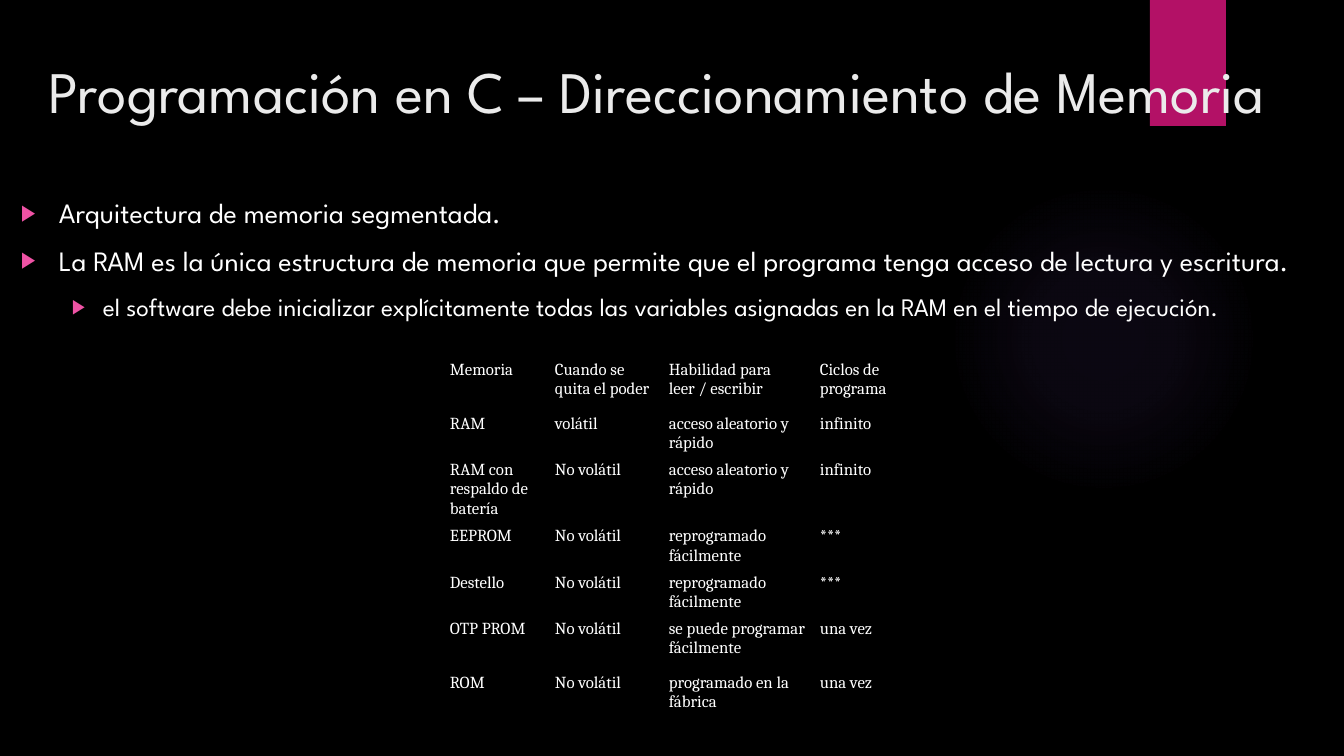
from lxml import etree
from pptx import Presentation
from pptx.dml.color import RGBColor
from pptx.enum.shapes import MSO_SHAPE
from pptx.oxml import parse_xml
from pptx.oxml.ns import nsdecls, qn
from pptx.util import Emu, Pt

EMU_PER_PX = 914400 / 100.8
OVAL, RECTANGLE = MSO_SHAPE.OVAL, MSO_SHAPE.RECTANGLE
BLACK = RGBColor(0x00, 0x00, 0x00)
WHITE = RGBColor(0xFF, 0xFF, 0xFF)
TITLE_GREY = RGBColor(0xEB, 0xEB, 0xEB)
MAGENTA = RGBColor(0xB3, 0x11, 0x66)
BULLET_PINK = RGBColor(0xEF, 0x53, 0xA5)
GLOW_VIOLET = RGBColor(0x9B, 0x6B, 0xF2)
HEADING_FONT, TABLE_FONT = "League Spartan", "Cambria"
NO_STYLE_NO_GRID = "{2D5ABB26-0587-4C30-8999-92F81FD0307C}"


def px(length):
    return Emu(round(length * EMU_PER_PX))


def format_runs(paragraph, font_name, size, color):
    for run in paragraph.runs:
        run.font.name = font_name
        run.font.size = Pt(size)
        run.font.color.rgb = color


presentation = Presentation()
presentation.slide_width, presentation.slide_height = px(1344), px(756)
slide = presentation.slides.add_slide(presentation.slide_layouts[6])
slide.background.fill.solid()
slide.background.fill.fore_color.rgb = BLACK

# Background glow, fading out from its centre
glow = slide.shapes.add_shape(OVAL, px(949), px(184), px(310), px(310))
glow.shadow.inherit = False
glow.line.fill.background()
stops = "".join(
    f'<a:gs pos="{position * 1000}"><a:srgbClr val="{GLOW_VIOLET}">'
    f'<a:alpha val="{alpha * 1000}"/></a:srgbClr></a:gs>'
    for position, alpha in ((0, 7), (36, 6), (69, 0), (100, 0))
)
glow_fill = parse_xml(
    f'<a:gradFill {nsdecls("a")} rotWithShape="1"><a:gsLst>{stops}</a:gsLst>'
    '<a:path path="circle"><a:fillToRect l="50000" t="50000" r="50000" b="50000"/>'
    "</a:path></a:gradFill>"
)
glow._element.spPr.find(qn("a:prstGeom")).addnext(glow_fill)

ribbon = slide.shapes.add_shape(RECTANGLE, px(1150), px(0), px(76), px(126))
ribbon.shadow.inherit = False
ribbon.fill.solid()
ribbon.fill.fore_color.rgb = MAGENTA
ribbon.line.fill.background()

title = slide.shapes.add_textbox(px(39), px(50), px(1264), px(154))
title.text_frame.word_wrap = True
title.text_frame.text = "Programación en C – Direccionamiento de Memoria"
format_runs(title.text_frame.paragraphs[0], HEADING_FONT, 42, TITLE_GREY)

# Bullets: text, level, font size, left margin, hanging indent
bullets = [
    ("Arquitectura de memoria segmentada.", 0, 20, 38, 38),
    ("La RAM es la única estructura de memoria que permite que el programa "
     "tenga acceso de lectura y escritura.", 0, 20, 38, 38),
    ("el software debe inicializar explícitamente todas las variables "
     "asignadas en la RAM en el tiempo de ejecución.", 1, 18, 82, 31),
]
body = slide.shapes.add_textbox(px(11), px(191), px(1292), px(477))
body.text_frame.word_wrap = True
body.text_frame.text = "\n".join(bullet[0] for bullet in bullets)
for paragraph, (_, level, size, margin, hanging) in zip(body.text_frame.paragraphs, bullets):
    paragraph.level = level
    paragraph.space_before = Pt(10)
    format_runs(paragraph, HEADING_FONT, size, WHITE)
    properties = paragraph._p.get_or_add_pPr()
    properties.set("marL", str(px(margin)))
    properties.set("indent", str(-px(hanging)))
    bullet_color = etree.SubElement(properties, qn("a:buClr"))
    etree.SubElement(bullet_color, qn("a:srgbClr"), val=str(BULLET_PINK))
    etree.SubElement(properties, qn("a:buSzPct"), val="80000")
    etree.SubElement(properties, qn("a:buFont"), typeface="Arial")
    etree.SubElement(properties, qn("a:buChar"), char="▶")

memory_rows = [
    ("Memoria", "Cuando se quita el poder", "Habilidad para leer / escribir", "Ciclos de programa"),
    ("RAM", "volátil", "acceso aleatorio y rápido", "infinito"),
    ("RAM con respaldo de batería", "No volátil", "acceso aleatorio y rápido", "infinito"),
    ("EEPROM", "No volátil", "reprogramado fácilmente", "***"),
    ("Destello", "No volátil", "reprogramado fácilmente", "***"),
    ("OTP PROM", "No volátil", "se puede programar fácilmente", "una vez"),
    ("ROM", "No volátil", "programado en la fábrica", "una vez"),
]
column_widths = [105, 114, 151, 87]
row_heights = [54, 38, 54, 38, 38, 54, 38]
table = slide.shapes.add_table(
    len(row_heights), len(column_widths),
    px(443), px(357), px(sum(column_widths)), px(sum(row_heights)),
).table
table.first_row = table.horz_banding = False
table._tbl.tblPr.find(qn("a:tableStyleId")).text = NO_STYLE_NO_GRID
for column, width in zip(table.columns, column_widths):
    column.width = px(width)
for row, height, texts in zip(table.rows, row_heights, memory_rows):
    row.height = px(height)
    for cell, text in zip(row.cells, texts):
        cell.fill.background()
        cell.margin_left = cell.margin_right = px(7)
        cell.margin_top = cell.margin_bottom = px(3)
        cell.text_frame.text = text
        format_runs(cell.text_frame.paragraphs[0], TABLE_FONT, 12, WHITE)

presentation.save("out.pptx")
